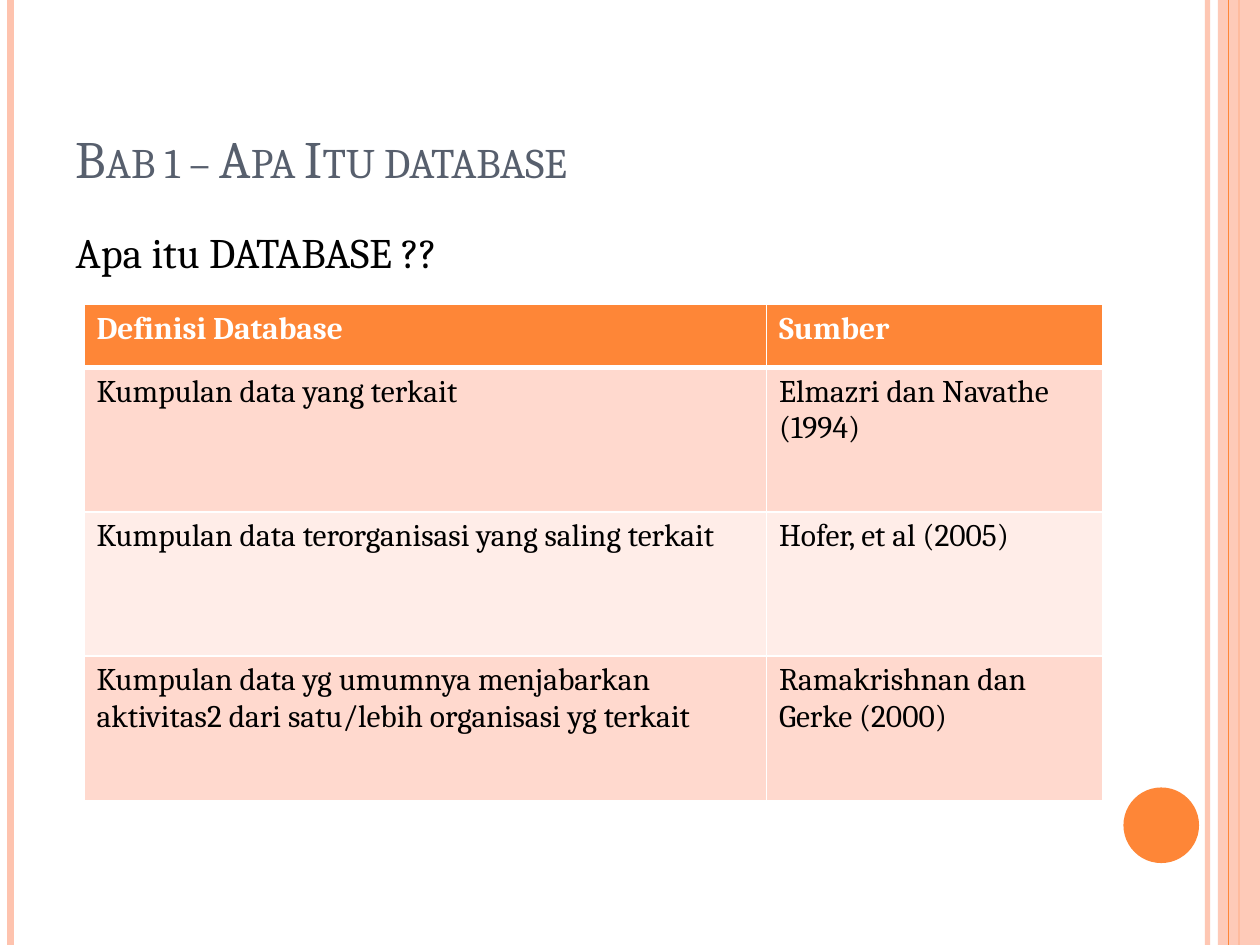
from dataclasses import dataclass

from lxml.etree import SubElement
from pptx import Presentation
from pptx.dml.color import RGBColor
from pptx.enum.shapes import MSO_CONNECTOR, MSO_SHAPE
from pptx.enum.text import MSO_ANCHOR, MSO_AUTO_SIZE, PP_ALIGN
from pptx.oxml.ns import qn
from pptx.util import Pt


@dataclass(frozen=True)
class Theme:
    font: str = "Cambria"
    accent: str = "FE8637"
    pale: str = "FEC3AE"
    heading: str = "575F6D"
    ink: str = "000000"
    white: str = "FFFFFF"
    bands: tuple = ("FFD9CE", "FFEDE8")
    title_size: int = 30
    body_size: int = 24
    cell_size: int = 18


def rgb(color):
    return RGBColor.from_string(color)


def write(tf, text, font, size, color, bold=False, small_caps=False, bullet=True):
    p = tf.paragraphs[0]
    p.alignment = PP_ALIGN.LEFT
    p.space_before = Pt(0)
    if not bullet:
        pPr = p._p.get_or_add_pPr()
        pPr.set("marL", "0")
        pPr.set("indent", "0")
        SubElement(pPr, qn("a:buNone"))
    r = p.add_run()
    r.text = text
    r.font.name = font
    r.font.size = Pt(size)
    r.font.bold = bold
    r.font.color.rgb = rgb(color)
    if small_caps:
        r.font._element.set("cap", "small")


def set_alpha(fill_parent, percent):
    color = next(fill_parent.iter(qn("a:srgbClr")))
    SubElement(color, qn("a:alpha"), val=str(percent * 1000))


class SlideBuilder:
    def __init__(self, s, theme):
        self.s = s
        self.theme = theme

    def rule(self, x, color, width, alpha=100):
        line = self.s.shapes.add_connector(
            MSO_CONNECTOR.STRAIGHT, Pt(x), Pt(0), Pt(x), Pt(540))
        line.line.color.rgb = rgb(color)
        line.line.width = Pt(width)
        spPr = line._element.spPr
        SubElement(spPr, qn("a:effectLst"))
        if alpha < 100:
            set_alpha(spPr, alpha)

    def shape(self, kind, x, y, w, h, color, alpha=100):
        sp = self.s.shapes.add_shape(kind, Pt(x), Pt(y), Pt(w), Pt(h))
        sp.shadow.inherit = False
        sp.fill.solid()
        sp.fill.fore_color.rgb = rgb(color)
        sp.line.fill.background()
        if alpha < 100:
            set_alpha(sp._element.spPr, alpha)

    def placeholder(self, sp, x, y, w, h, anchor, text, **style):
        sp.left, sp.top, sp.width, sp.height = Pt(x), Pt(y), Pt(w), Pt(h)
        tf = sp.text_frame
        tf.word_wrap = True
        tf.auto_size = MSO_AUTO_SIZE.NONE
        tf.vertical_anchor = anchor
        write(tf, text, self.theme.font, **style)

    def title(self, text):
        self.placeholder(self.s.shapes.title, 36, 21.6, 588, 90, MSO_ANCHOR.BOTTOM, text,
                         size=self.theme.title_size, color=self.theme.heading,
                         small_caps=True)

    def body(self, text):
        self.placeholder(self.s.placeholders[1], 36, 126, 588, 384, MSO_ANCHOR.TOP, text,
                         size=self.theme.body_size, color=self.theme.ink, bullet=False)

    def borders(self, cell, top, bottom):
        tcPr = cell._tc.get_or_add_tcPr()
        sides = {"lnL": 1, "lnR": 1, "lnT": top, "lnB": bottom}
        for i, (side, width) in enumerate(sides.items()):
            ln = SubElement(tcPr, qn(f"a:{side}"), w=str(Pt(width)))
            fill = SubElement(ln, qn("a:solidFill"))
            SubElement(fill, qn("a:srgbClr"), val=self.theme.white)
            tcPr.insert(i, ln)

    def table(self, x, y, widths, heights, rows):
        t = self.theme
        table = self.s.shapes.add_table(
            len(rows), len(widths), Pt(x), Pt(y), Pt(sum(widths)), Pt(sum(heights))).table
        for column, width in zip(table.columns, widths):
            column.width = Pt(width)
        for i, (row, height) in enumerate(zip(rows, heights)):
            table.rows[i].height = Pt(height)
            header = i == 0
            for j, text in enumerate(row):
                cell = table.cell(i, j)
                cell.fill.solid()
                cell.fill.fore_color.rgb = rgb(t.accent if header else t.bands[(i - 1) % 2])
                self.borders(cell, 3 if i == 1 else 1, 3 if header else 1)
                write(cell.text_frame, text, t.font, t.cell_size,
                      t.white if header else t.ink, bold=header)


def main():
    prs = Presentation()
    prs.slide_width, prs.slide_height = Pt(720), Pt(540)
    theme = Theme()
    s = SlideBuilder(prs.slides.add_slide(prs.slide_layouts[1]), theme)

    s.rule(690, theme.pale, 3, alpha=93)
    s.rule(6, theme.pale, 4.5)
    s.rule(708, theme.accent, 1.5)
    s.shape(MSO_SHAPE.RECTANGLE, 696, 0, 24, 540, theme.pale, alpha=87)
    s.rule(702, theme.accent, 0.75)
    s.shape(MSO_SHAPE.OVAL, 642, 450, 43.2, 43.2, theme.accent)

    s.title("Bab 1 – Apa Itu database")
    s.body("Apa itu DATABASE ??")
    s.table(48, 174, [390, 192], [36] + [82.5] * 3, [
        ("Definisi Database", "Sumber"),
        ("Kumpulan data yang terkait", "Elmazri dan Navathe (1994)"),
        ("Kumpulan data terorganisasi yang saling terkait", "Hofer, et al (2005)"),
        ("Kumpulan data yg umumnya menjabarkan aktivitas2 dari satu/lebih organisasi yg terkait",
         "Ramakrishnan dan Gerke (2000)"),
    ])
    prs.save("out.pptx")


if __name__ == "__main__":
    main()
